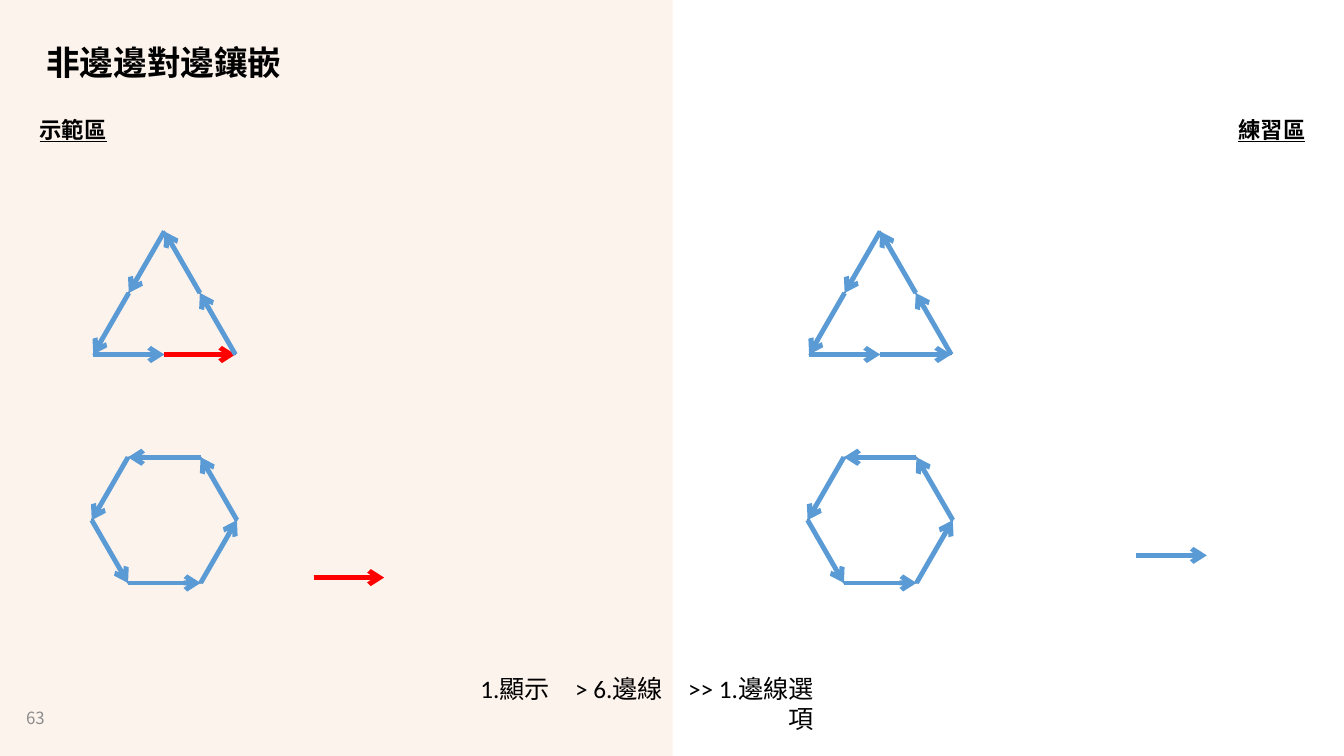
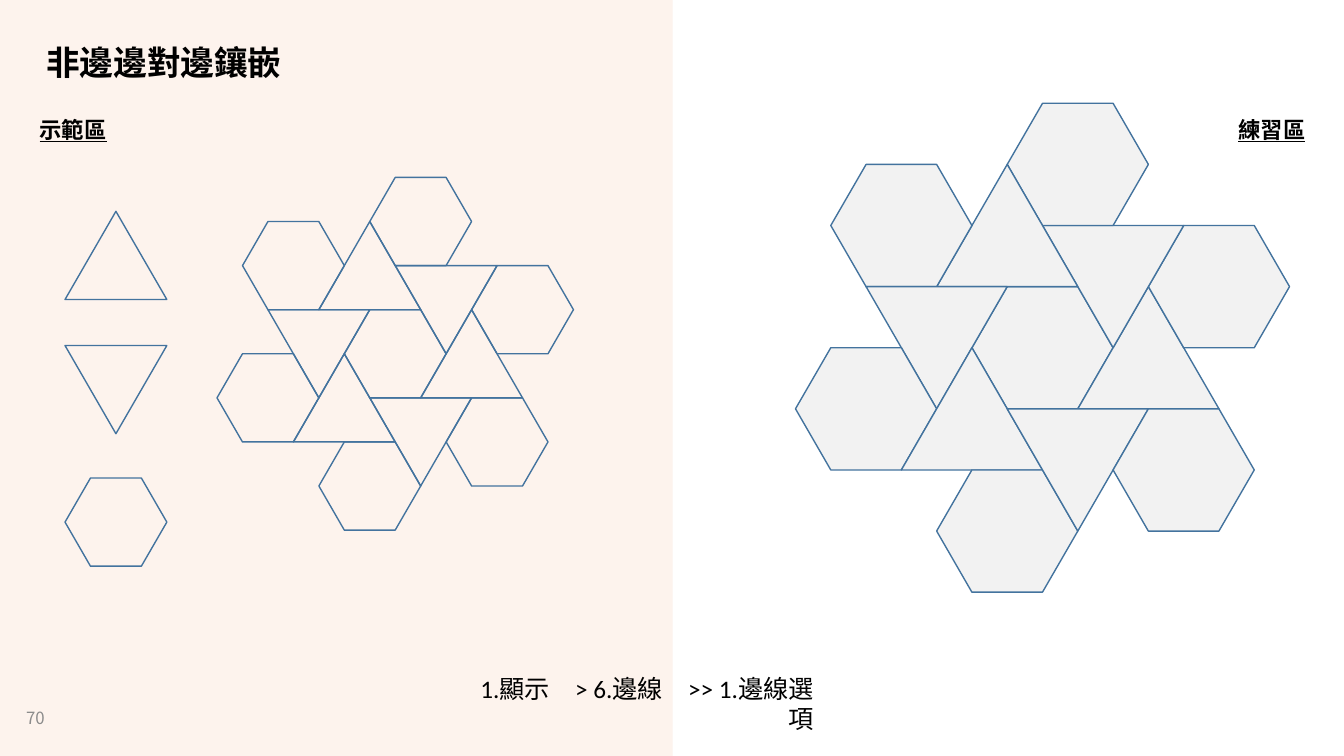
import math

from lxml import etree
from pptx import Presentation
from pptx.dml.color import RGBColor
from pptx.enum import shapes, text
from pptx.oxml import ns
from pptx.util import Inches, Pt

WHITE = RGBColor(0xFF, 0xFF, 0xFF)
BLACK = RGBColor(0, 0, 0)
GREY = RGBColor(0x8C, 0x8C, 0x8C)
PEACH = RGBColor(0xF4, 0xB1, 0x83)
PALE_PEACH = RGBColor(0xFB, 0xE5, 0xD6)
OUTLINE = RGBColor(0x43, 0x73, 0x9E)
BLUE = RGBColor(0x5B, 0x9B, 0xD5)
RED = RGBColor(0xFF, 0, 0)
TILE = RGBColor(0xF2, 0xF2, 0xF2)

CJK_FONT = "Noto Sans CJK SC"
LATIN_FONT = "Calibri"
WIDTH, HEIGHT = 13.33, 7.5
MIDDLE = 6.67
ROOT3 = math.sqrt(3)


def polar(center, radius, degrees):
    """Point at a counter-clockwise angle around a center."""
    angle = math.radians(degrees)
    return (center[0] + radius * math.cos(angle),
            center[1] - radius * math.sin(angle))


def ring(center, radius, sides, start):
    return [polar(center, radius, start + 360 * i / sides)
            for i in range(sides)]


def triangle(center, side, start=90):
    return ring(center, side / ROOT3, 3, start)


def hexagon(center, side):
    return ring(center, side, 6, 0)


def halved(points):
    """Add the middle of every side to a closed outline."""
    result = []
    for (x1, y1), (x2, y2) in zip(points, points[1:] + points[:1]):
        result += [(x1, y1), ((x1 + x2) / 2, (y1 + y2) / 2)]
    return result


def emu(point):
    return tuple(int(Inches(value)) for value in point)


class Worksheet:
    """Holds the deck, its style and the page being drawn."""

    def __init__(self):
        self.deck = Presentation()
        self.deck.slide_width = Inches(WIDTH)
        self.deck.slide_height = Inches(HEIGHT)
        self.page = None

    def start_page(self, number):
        self.page = self.deck.slides.add_slide(self.deck.slide_layouts[6])
        self.page.background.fill.solid()
        self.page.background.fill.fore_color.rgb = WHITE

        # Demonstration half and divider
        band = self.shape(shapes.MSO_SHAPE.RECTANGLE, 0, 0, MIDDLE, HEIGHT)
        band.fill.solid()
        band.fill.fore_color.rgb = PEACH
        self.set_alpha(band.fill, 14)
        divider = self.line((MIDDLE, HEIGHT), (MIDDLE, 0), PALE_PEACH, 0.25)
        self.set_alpha(divider.line.fill, 50)

        # Title, area labels and page number
        self.label("非邊邊對邊鑲嵌", 0.36, 0.4, 5.95, 0.44, 24, bold=True)
        for name, left in (("示範區", 0.29), ("練習區", 12.18)):
            self.label(name, left, 1.1, 0.87, 0.37, 16, bold=True,
                       underline=True, align=text.PP_ALIGN.CENTER, inset=0)
        self.label(str(number), 0.16, 6.93, 0.67, 0.39, 12, color=GREY)

        # Menu hint
        hint = self.shape(shapes.MSO_SHAPE.ROUNDED_RECTANGLE,
                          4.4, 6.75, 3.79, 0.45)
        hint.fill.background()
        self.put_text(hint, "1.顯示　> 6.邊線　>> 1.邊線選項", 18,
                      font=LATIN_FONT, align=text.PP_ALIGN.RIGHT)
        hint.text_frame.margin_left = Inches(0.3)

    def set_alpha(self, fill, percent):
        color = fill._xPr.find(".//" + ns.qn("a:srgbClr"))
        etree.SubElement(color, ns.qn("a:alpha"), val=str(percent * 1000))

    def shape(self, kind, left, top, width, height):
        shape = self.page.shapes.add_shape(
            kind, Inches(left), Inches(top), Inches(width), Inches(height))
        shape.shadow.inherit = False
        shape.line.fill.background()
        return shape

    def put_text(self, box, words, size, color=BLACK, bold=False,
                 underline=False, font=CJK_FONT, align=text.PP_ALIGN.LEFT):
        frame = box.text_frame
        frame.word_wrap = True
        frame.vertical_anchor = text.MSO_ANCHOR.MIDDLE
        para = frame.paragraphs[0]
        para.alignment = align
        span = para.add_run()
        span.text = words
        span.font.name = font
        span.font.size = Pt(size)
        span.font.bold = bold
        span.font.underline = underline
        span.font.color.rgb = color
        etree.SubElement(span.font._element, ns.qn("a:ea"),
                         typeface=CJK_FONT)

    def label(self, words, left, top, width, height, size, inset=0.1,
              **style):
        box = self.page.shapes.add_textbox(
            Inches(left), Inches(top), Inches(width), Inches(height))
        frame = box.text_frame
        frame.margin_left = frame.margin_right = Inches(inset)
        self.put_text(box, words, size, **style)

    def line(self, start, end, color, weight):
        line = self.page.shapes.add_connector(
            shapes.MSO_CONNECTOR.STRAIGHT, *emu(start), *emu(end))
        line.line.color.rgb = color
        line.line.width = Pt(weight)
        etree.SubElement(line._element.spPr, ns.qn("a:effectLst"))
        return line

    def arrow(self, start, end, color=BLUE):
        arrow = self.line(start, end, color, 3.5)
        etree.SubElement(arrow.line._get_or_add_ln(), ns.qn("a:tailEnd"),
                         type="arrow")

    def polygon(self, points, fill=None):
        corners = [emu(point) for point in points]
        builder = self.page.shapes.build_freeform(*corners[0])
        builder.add_line_segments(corners[1:], close=True)
        outline = builder.convert_to_shape()
        outline.shadow.inherit = False
        outline.line.color.rgb = OUTLINE
        outline.line.width = Pt(1)
        if fill is None:
            outline.fill.background()
        else:
            outline.fill.solid()
            outline.fill.fore_color.rgb = fill

    def arrow_loop(self, points, red_side=None):
        """Outline whose sides are arrows running counter-clockwise."""
        self.polygon(points)
        for i, start in enumerate(points):
            self.arrow(start, points[(i + 1) % len(points)],
                       RED if i == red_side else BLUE)

    def tiling(self, center, side, fill=None):
        """Hexagon ringed by six triangles and six more hexagons."""
        edge = side / 2
        triangle_angle = math.degrees(math.atan2(-ROOT3 / 6, 1.5))
        hexagon_angle = math.degrees(math.atan2(ROOT3 / 2, 2.5))
        self.polygon(hexagon(center, edge), fill)
        for turn in range(0, 360, 60):
            middle = polar(center, edge * math.sqrt(7 / 3),
                           triangle_angle + turn)
            self.polygon(triangle(middle, side, 90 + turn), fill)
            middle = polar(center, edge * math.sqrt(7), hexagon_angle + turn)
            self.polygon(hexagon(middle, edge), fill)


def main():
    sheet = Worksheet()

    # Sides of the triangle and hexagon as arrows
    sheet.start_page(63)
    for x, red_side in ((1.63, 3), (8.73, None)):
        sheet.arrow_loop(halved(triangle((x, 3.11), 1.41)), red_side)
        sheet.arrow_loop(hexagon((x, 5.16), 0.72))
    sheet.arrow((3.11, 5.73), (3.81, 5.73), RED)
    sheet.arrow((11.27, 5.51), (11.97, 5.51))

    # Loose tiles and finished tilings
    sheet.start_page(70)
    side, x = 1.01, 1.15
    sheet.polygon(triangle((x, 2.68), side))
    sheet.polygon(triangle((x, 3.72), side, 270))
    sheet.polygon(hexagon((x, 5.18), side / 2))
    sheet.tiling((3.92, 3.51), side)
    sheet.tiling((10.34, 3.45), 1.4, TILE)

    sheet.deck.save("out.pptx")


if __name__ == "__main__":
    main()
